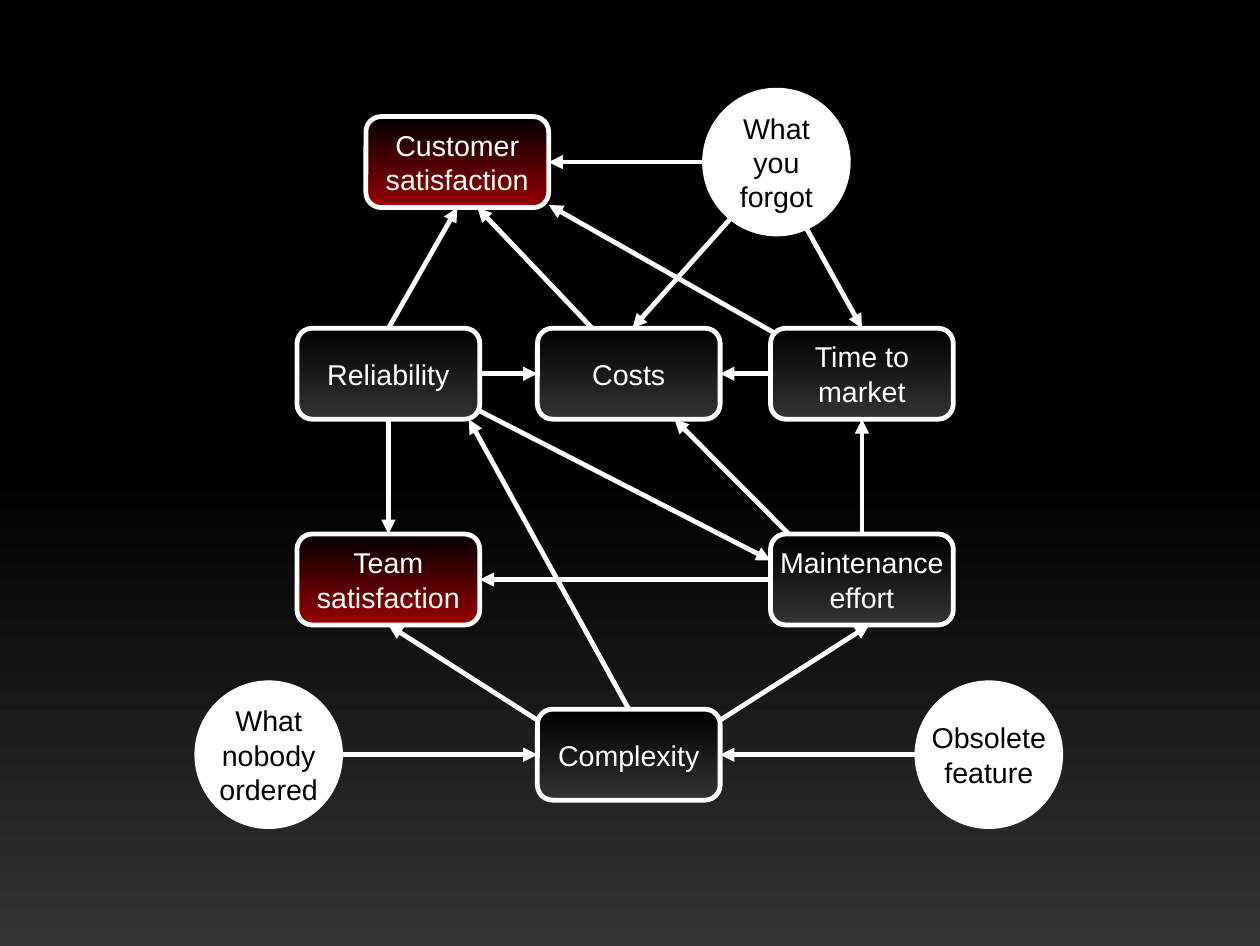
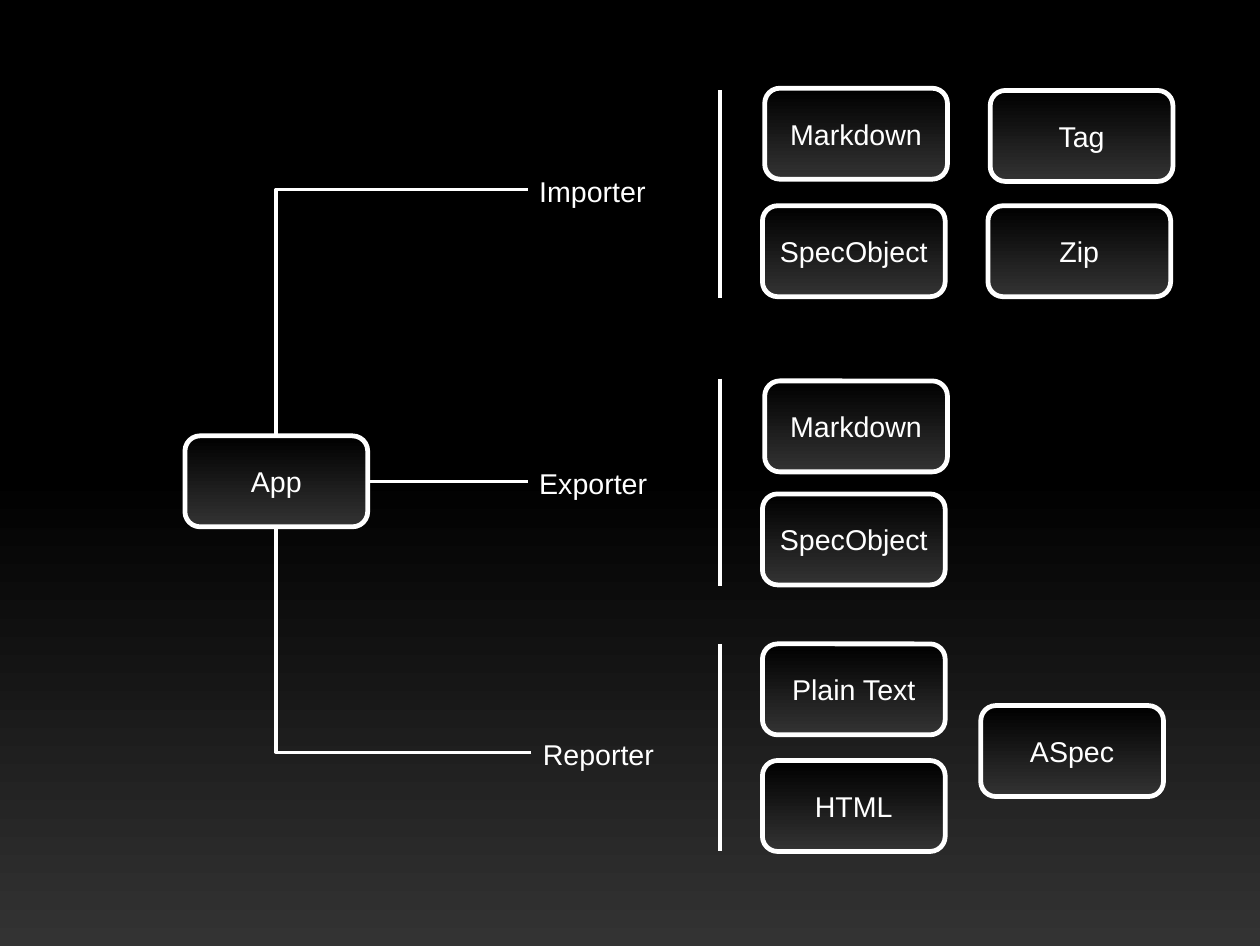
from dataclasses import dataclass
from lxml.etree import SubElement
from pptx import Presentation
from pptx.dml.color import RGBColor
from pptx.enum.shapes import MSO_CONNECTOR, MSO_SHAPE
from pptx.enum.text import MSO_ANCHOR, MSO_AUTO_SIZE, PP_ALIGN
from pptx.oxml.ns import qn
from pptx.util import Cm, Pt


@dataclass(frozen=True)
class Theme:
    font: str = "Arial"
    size: float = 18
    white: str = "FFFFFF"
    black: str = "000000"
    gray: str = "333333"
    red: str = "990000"
    thick: float = 3
    thin: float = 2.3
    wide: float = 4.06
    high: float = 2.02
    disc: float = 3.3


THEME = Theme()
PAGE = Pt(793.5), Pt(595.5)

LEFT, MID, RIGHT = 6.6, 11.94, 17.12
UPPER, LOWER = 7.29, 11.86
DISCS = {
    "forgot": ("What\vyou\nforgot", 15.6, 1.95),
    "old": ("Obsolete\vfeature", 20.32, 15.11),
    "extra": ("What\vnobody\vordered", 4.32, 15.11),
}
GOALS = {
    "client": ("Customer\nsatisfaction", 8.13, 2.59),
    "team": ("Team\nsatisfaction", LEFT, LOWER),
}
CAUSES = {
    "upkeep": ("Maintenance\veffort", RIGHT, LOWER),
    "trust": ("Reliability", LEFT, UPPER),
    "time": ("Time to\nmarket", RIGHT, UPPER),
    "complex": ("Complexity", MID, 15.75),
    "costs": ("Costs", MID, UPPER),
}

N, W, S, E = (0.5, 0), (0, 0.5), (0.5, 1), (1, 0.5)
SITES = (N, W, S, E)
ARROWS = [
    ("forgot", W, "client", E),
    ("upkeep", N, "time", S),
    ("trust", N, "client", S),
    ("upkeep", W, "team", E),
    ("trust", S, "team", N),
    ("complex", N, "trust", (0.94, 1)),
    ("complex", (1, 0.12), "upkeep", (0.54, 1)),
    ("trust", (1, 0.91), "upkeep", (0, 0.29)),
    ("upkeep", (0.1, 0), "costs", (0.75, 1)),
    ("time", W, "costs", E),
    ("trust", E, "costs", W),
    ("complex", (0, 0.12), "team", S),
    ("forgot", (0.66, 0.87), "time", N),
    ("forgot", (0.2, 0.87), "costs", (0.52, 0)),
    ("costs", (0.3, 0), "client", (0.61, 1)),
    ("time", (0.02, 0.05), "client", (1, 0.97)),
    ("old", W, "complex", E),
    ("extra", E, "complex", W),
]

ROOT = ("App", 4.11, 9.68)
BAR_X, BAR_H = 16, 4.6
GROUPS = [
    ("Importer", 11.73, 3.73, N, 2.01, [
        ("Markdown", 16.99, 1.96), ("Tag", 22, 2.01),
        ("SpecObject", 16.94, 4.57), ("Zip", 21.95, 4.57)]),
    ("Exporter", 11.73, 10.21, E, 8.41, [
        ("Markdown", 16.99, 8.46), ("SpecObject", 16.94, 10.97)]),
    ("Reporter", 11.81, 16.23, S, 14.3, [
        ("Plain Text", 16.94, 14.3), ("HTML", 16.94, 16.89),
        ("ASpec", 21.79, 15.67)]),
]


def tint(code):
    return RGBColor.from_string(code)


def blend(fill, last, start=0):
    fill.gradient()
    fill.gradient_angle = 270
    for stop, place, code in zip(fill.gradient_stops, (start, 1), (THEME.black, last)):
        stop.position = place
        stop.color.rgb = tint(code)


def write(shape, text, color=THEME.white, align=PP_ALIGN.CENTER,
          anchor=MSO_ANCHOR.MIDDLE, inset=(0.25, 0.13)):
    frame = shape.text_frame
    frame.text = text
    frame.word_wrap = False
    frame.vertical_anchor = anchor
    frame.margin_left = frame.margin_right = Cm(inset[0])
    frame.margin_top = frame.margin_bottom = Cm(inset[1])
    for para in frame.paragraphs:
        para.alignment = align
        for run in para.runs:
            run.font.name = THEME.font
            run.font.size = Pt(THEME.size)
            run.font.color.rgb = tint(color)
        para.font.size = Pt(THEME.size)


def add_box(slide, text, x, y, shade=THEME.gray):
    box = slide.shapes.add_shape(MSO_SHAPE.ROUNDED_RECTANGLE, Cm(x), Cm(y),
                                 Cm(THEME.wide), Cm(THEME.high))
    box.shadow.inherit = False
    blend(box.fill, shade)
    box.line.color.rgb = tint(THEME.white)
    box.line.width = Pt(THEME.thick)
    write(box, text, inset=(0.3, 0.18))
    return box


def add_disc(slide, text, x, y):
    disc = slide.shapes.add_shape(MSO_SHAPE.OVAL, Cm(x), Cm(y),
                                  Cm(THEME.disc), Cm(THEME.disc))
    disc.shadow.inherit = False
    disc.fill.solid()
    disc.fill.fore_color.rgb = tint(THEME.white)
    disc.line.fill.background()
    write(disc, text, color=THEME.black)
    return disc


def add_label(slide, text, x, y):
    label = slide.shapes.add_textbox(Cm(x), Cm(y), Cm(3), Cm(0.96))
    write(label, text, align=PP_ALIGN.LEFT, anchor=MSO_ANCHOR.TOP)
    label.text_frame.auto_size = MSO_AUTO_SIZE.SHAPE_TO_FIT_TEXT
    return label


def add_line(slide, start, end, width=THEME.thin, arrow=False, bent=False):
    kind = MSO_CONNECTOR.ELBOW if bent else MSO_CONNECTOR.STRAIGHT
    line = slide.shapes.add_connector(kind, *start, *end)
    line.line.color.rgb = tint(THEME.white)
    line.line.width = Pt(width)
    props = line.element.spPr
    if bent:
        props.find(qn("a:prstGeom")).set("prst", "bentConnector2")
    if arrow:
        SubElement(props.find(qn("a:ln")), qn("a:tailEnd"), type="triangle")
    SubElement(props, qn("a:effectLst"))
    return line


def link(slide, first, out, last, into, **style):
    ends = (("a:stCxn", first, out), ("a:endCxn", last, into))
    points = [(round(shape.left + fx * shape.width), round(shape.top + fy * shape.height))
              for _, shape, (fx, fy) in ends]
    line = add_line(slide, *points, **style)
    glue = line.element.find(".//" + qn("p:cNvCxnSpPr"))
    for tag, shape, spot in ends:
        if spot in SITES:
            form = shape.element.spPr.find(qn("a:prstGeom")).get("prst")
            step = 2 if form == "ellipse" else 1
            SubElement(glue, qn(tag), id=str(shape.shape_id),
                       idx=str(SITES.index(spot) * step))


def draw_web(slide):
    nodes = {key: add_disc(slide, *part) for key, part in DISCS.items()}
    for parts, shade in ((GOALS, THEME.red), (CAUSES, THEME.gray)):
        for key, part in parts.items():
            nodes[key] = add_box(slide, *part, shade=shade)
    for first, out, last, into in ARROWS:
        link(slide, nodes[first], out, nodes[last], into,
             width=THEME.thick, arrow=True)


def draw_tree(slide):
    root = add_box(slide, *ROOT)
    for text, x, y, side, top, parts in GROUPS:
        label = add_label(slide, text, x, y)
        link(slide, label, W, root, side, bent=side != E)
        add_line(slide, (Cm(BAR_X), Cm(top)), (Cm(BAR_X), Cm(top + BAR_H)))
        for part in parts:
            add_box(slide, *part)


def main():
    deck = Presentation()
    deck.slide_width, deck.slide_height = PAGE
    blend(deck.slide_master.background.fill, THEME.gray, start=0.5)
    for draw in (draw_web, draw_tree):
        draw(deck.slides.add_slide(deck.slide_layouts[6]))
    deck.save("out.pptx")


if __name__ == "__main__":
    main()
